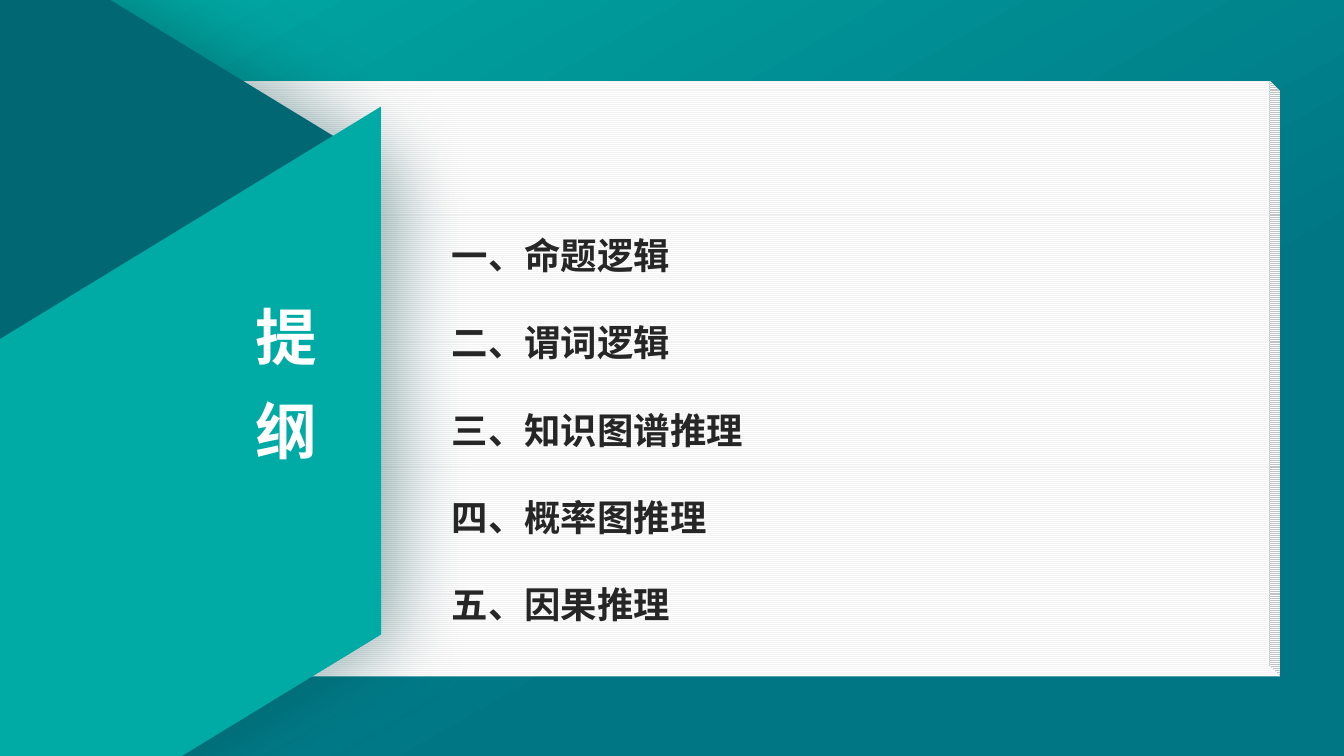
from lxml import etree
from pptx import Presentation
from pptx.dml.color import RGBColor
from pptx.enum.dml import MSO_PATTERN
from pptx.enum.shapes import MSO_SHAPE
from pptx.enum.text import MSO_ANCHOR, MSO_AUTO_SIZE, PP_ALIGN
from pptx.oxml.ns import qn
from pptx.util import Inches, Pt

CUBE, HEXAGON, PARALLELOGRAM = MSO_SHAPE.CUBE, MSO_SHAPE.HEXAGON, MSO_SHAPE.PARALLELOGRAM
LIGHT_HORIZONTAL = MSO_PATTERN.LIGHT_HORIZONTAL
TOP, NO_FIT = MSO_ANCHOR.TOP, MSO_AUTO_SIZE.NONE
LEFT, CENTER = PP_ALIGN.LEFT, PP_ALIGN.CENTER

TEAL = RGBColor(0x00, 0xAB, 0xA5)
DEEP_TEAL = RGBColor(0x00, 0x76, 0x84)
DARK_TEAL = RGBColor(0x01, 0x67, 0x73)
SHADOW_TEAL = RGBColor(0x01, 0x3F, 0x45)
PAPER_LINE = RGBColor(0xF2, 0xF2, 0xF2)
WHITE = RGBColor(0xFF, 0xFF, 0xFF)
BLACK = RGBColor(0x00, 0x00, 0x00)
INK = RGBColor(0x26, 0x26, 0x26)
FONT = "Noto Sans CJK SC"

TOPICS = ["一、命题逻辑", "二、谓词逻辑", "三、知识图谱推理", "四、概率图推理", "五、因果推理"]


def set_gradient(fill, stops, angle):
    """Fill with two (position, colour) stops; the angle runs counter-clockwise."""
    fill.gradient()
    fill.gradient_angle = angle
    for stop, (position, color) in zip(fill.gradient_stops, stops):
        stop.position = position
        stop.color.rgb = color


def add_shadow(effects, color, opacity, blur, distance, angle):
    """Put an outer shadow in an effect list; opacity in percent, lengths in points."""
    shadow = etree.SubElement(
        effects, qn("a:outerShdw"), blurRad=str(Pt(blur)), dist=str(Pt(distance)),
        dir=str(angle * 60000), algn="tl", rotWithShape="0")
    tone = etree.SubElement(shadow, qn("a:srgbClr"), val=str(color))
    etree.SubElement(tone, qn("a:alpha"), val=str(opacity * 1000))


def add_panel(page, kind, box, adjustment, rotation=0):
    panel = page.shapes.add_shape(kind, *map(Inches, box))
    panel.adjustments[0] = adjustment
    panel.rotation = rotation
    panel.line.fill.background()
    panel.shadow.inherit = False
    return panel


def add_paper(page, box):
    paper = add_panel(page, CUBE, box, 0.018)
    paper.element.spPr.find(qn("a:xfrm")).set("flipV", "1")
    paper.fill.patterned()
    paper.fill.pattern = LIGHT_HORIZONTAL
    paper.fill.fore_color.rgb = PAPER_LINE
    paper.fill.back_color.rgb = WHITE


def add_folded_band(page, hexagon_box, flap_box):
    hexagon = add_panel(page, HEXAGON, hexagon_box, 0.305, 90)
    set_gradient(hexagon.fill, [(0.77, DARK_TEAL), (1, DEEP_TEAL)], 270)
    add_shadow(hexagon.element.spPr.find(qn("a:effectLst")), SHADOW_TEAL, 40, 55, 13, 0)
    flap = add_panel(page, PARALLELOGRAM, flap_box, 0.61, 328.6)
    flap.fill.solid()
    flap.fill.fore_color.rgb = TEAL


def fill_placeholder(page, holder, box, lines, size, color, pitch, align):
    """Bring a placeholder to the front and set one paragraph for each line."""
    page.shapes.element.append(holder.element)
    holder.left, holder.top, holder.width, holder.height = map(Inches, box)
    frame = holder.text_frame
    frame.text = "\n".join(lines)
    frame.word_wrap = True
    frame.auto_size = NO_FIT
    frame.vertical_anchor = TOP
    frame.margin_left = frame.margin_right = frame.margin_top = frame.margin_bottom = 0
    for para in frame.paragraphs:
        para.alignment = align
        para.line_spacing = Pt(pitch)
        para.space_before = para.space_after = Pt(0)
        properties = para._p.get_or_add_pPr()
        properties.set("marL", "0")
        properties.set("indent", "0")
        etree.SubElement(properties, qn("a:buNone"))
        for span in para.runs:
            span.font.size = Pt(size)
            span.font.bold = True
            span.font.color.rgb = color
            span.font.name = FONT
            latin = span._r.rPr.find(qn("a:latin"))
            latin.addnext(latin.makeelement(qn("a:ea"), {"typeface": FONT}))


def add_heading(page, box):
    title = page.shapes.title
    fill_placeholder(page, title, box, "提纲", 44, WHITE, 67, CENTER)
    for para in title.text_frame.paragraphs:
        for span in para.runs:
            latin = span._r.rPr.find(qn("a:latin"))
            effects = latin.makeelement(qn("a:effectLst"), {})
            latin.addprevious(effects)
            add_shadow(effects, BLACK, 43, 3, 3, 45)


def add_topics(page, box):
    fill_placeholder(page, page.placeholders[1], box, TOPICS, 26, INK, 62.4, LEFT)


def build_outline_page(deck):
    page = deck.slides.add_slide(deck.slide_layouts[1])
    set_gradient(page.background.fill, [(0, TEAL), (0.67, DEEP_TEAL)], 300)
    add_paper(page, (0, 0.8, 12.7, 5.91))
    add_folded_band(page, (-6.21, -0.79, 10.46, 9.51), (-2.74, 2.89, 8.29, 4.47))
    add_heading(page, (2.44, 2.77, 0.8, 1.87))
    add_topics(page, (4.48, 1.88, 6.27, 4.34))


def main():
    deck = Presentation()
    deck.slide_width, deck.slide_height = Inches(13.33), Inches(7.5)
    build_outline_page(deck)
    deck.save("out.pptx")


if __name__ == "__main__":
    main()
